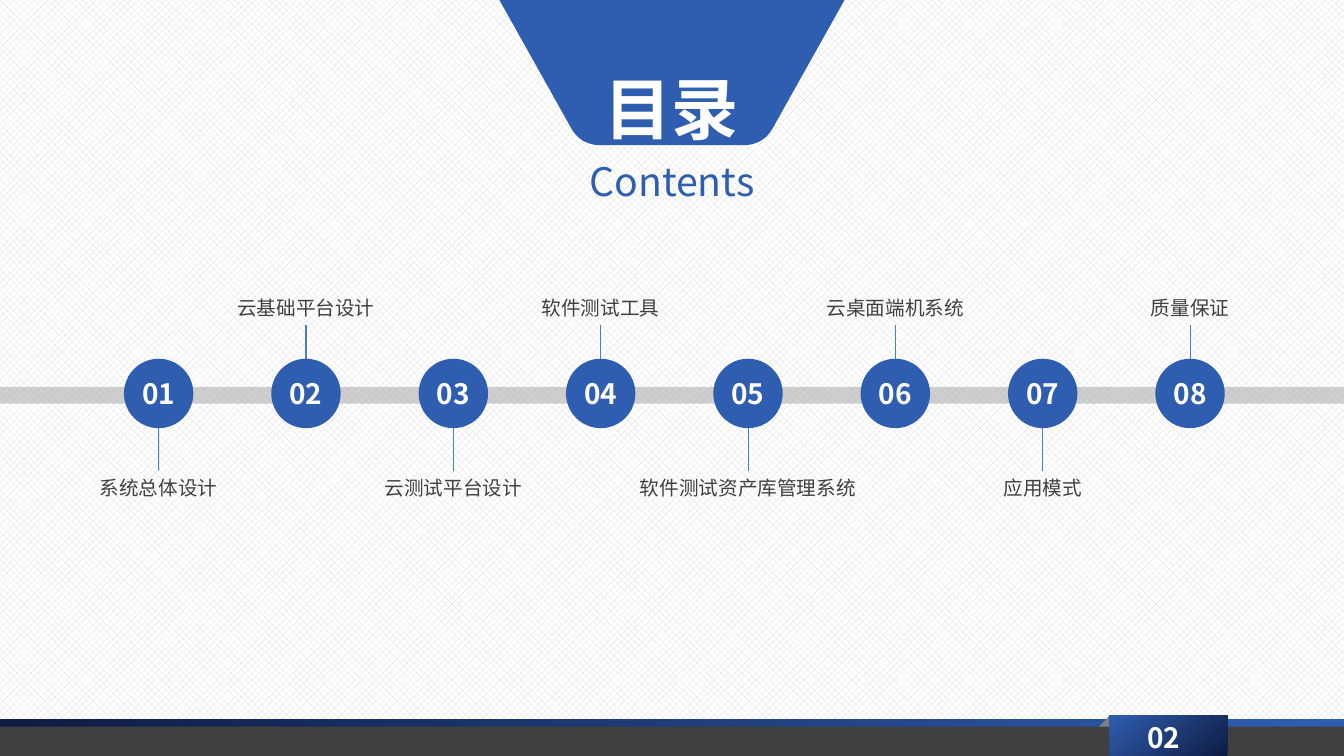
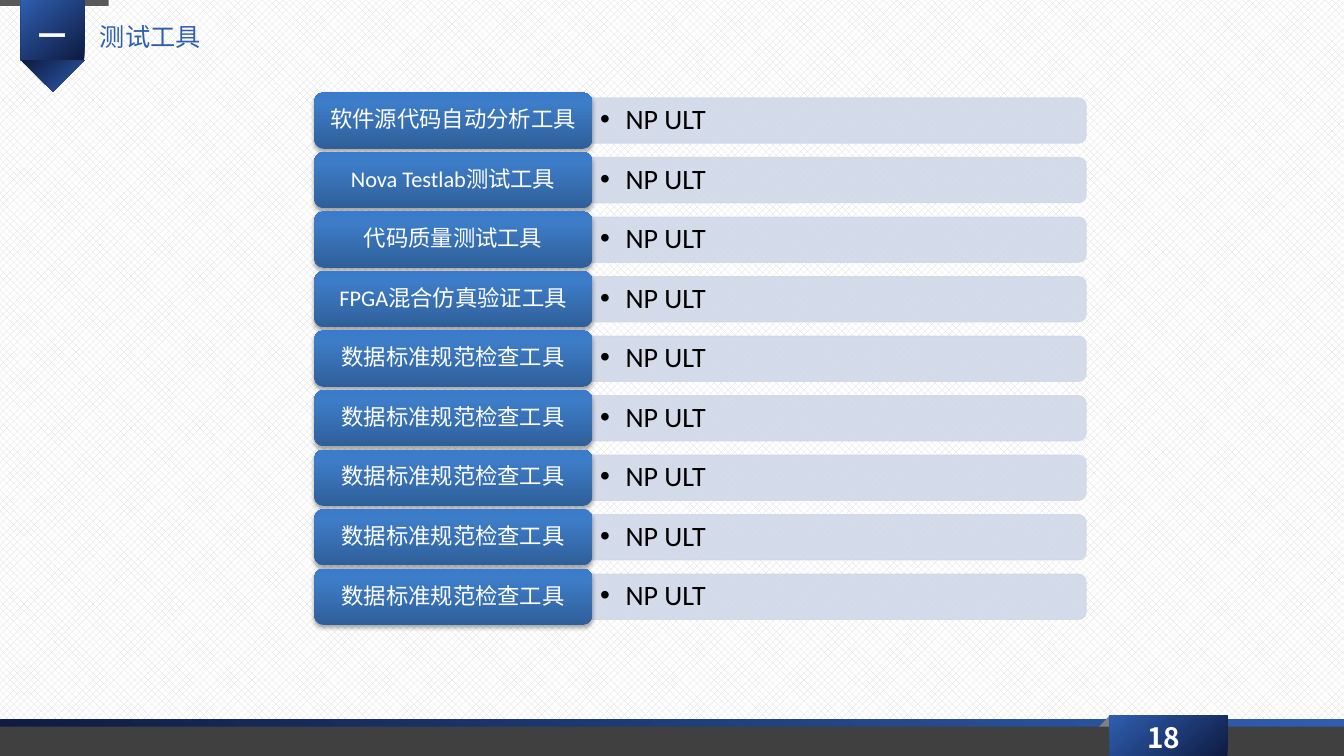
from copy import deepcopy

from lxml.etree import SubElement
from pptx import Presentation
from pptx.dml.color import RGBColor
from pptx.enum.dml import MSO_PATTERN
from pptx.enum.shapes import MSO_CONNECTOR, MSO_SHAPE
from pptx.enum.text import MSO_ANCHOR, PP_ALIGN
from pptx.oxml.ns import qn
from pptx.util import Cm, Pt

COLOURS = {
    "blue": "2F5EB0", "navy": "0E1A40", "white": "FFFFFF", "black": "000000",
    "dark": "404040", "strip": "595959", "fold": "808080", "track": "A6A6A6",
    "stem": "4B7EBC", "panel": "D0D8E8", "weave": "D9D9D9",
    "button_low": "2F5F99", "button_mid": "3D7CC7", "button_high": "3A7CCB",
}
CJK = "Noto Sans CJK SC"
WIDTH, HEIGHT = 33.88, 19.05
BADGE_STOPS = [(0, "navy"), (1, "blue")]
BUTTON_STOPS = [(0, "button_low"), (0.8, "button_mid"), (1, "button_high")]

CHAPTERS = ["系统总体设计", "云基础平台设计", "云测试平台设计", "软件测试工具",
            "软件测试资产库管理系统", "云桌面端机系统", "应用模式", "质量保证"]
TOOLS = [(name, "NP ULT") for name in [
    "软件源代码自动分析工具", "Nova Testlab测试工具", "代码质量测试工具",
    "FPGA混合仿真验证工具"] + ["数据标准规范检查工具"] * 5]


def colour(name):
    return RGBColor.from_string(COLOURS[name])


def style(paragraph, size, ink, face=CJK, bold=False, align=PP_ALIGN.CENTER):
    paragraph.alignment = align
    font = paragraph.font
    font.size, font.bold, font.name = Pt(size), bold, face
    font.color.rgb = colour(ink)
    SubElement(font._element, qn("a:ea"), typeface=CJK)


def write(box, text, size, ink, insets=(0, 0, 0, 0), spacing=None, bullet=None, **look):
    frame = box.text_frame
    frame.word_wrap = True
    frame.vertical_anchor = MSO_ANCHOR.MIDDLE
    (frame.margin_left, frame.margin_top,
     frame.margin_right, frame.margin_bottom) = map(Cm, insets)
    para = frame.paragraphs[0]
    para.text = text
    if spacing:
        para.line_spacing = spacing
    if bullet:
        properties = para._p.get_or_add_pPr()
        properties.set("marL", str(Cm(0.64)))
        properties.set("indent", str(-Cm(0.64)))
        SubElement(properties, qn("a:buFont"), typeface="Arial")
        SubElement(properties, qn("a:buChar"), char=bullet)
    style(para, size, ink, **look)


def add_text(page, left, top, width, height, *content, **look):
    box = page.shapes.add_textbox(Cm(left), Cm(top), Cm(width), Cm(height))
    write(box, *content, **look)
    return box


def paint(shape, fill):
    shape.shadow.inherit = False
    shape.line.fill.background()
    shape.fill.solid()
    shape.fill.fore_color.rgb = colour(fill)
    return shape


def add_block(page, kind, left, top, width, height, fill):
    shape = page.shapes.add_shape(kind, Cm(left), Cm(top), Cm(width), Cm(height))
    return paint(shape, fill)


def add_outline(page, points, fill):
    start, *rest = [(Cm(x), Cm(y)) for x, y in points]
    builder = page.shapes.build_freeform(*start)
    builder.add_line_segments(rest, close=True)
    return paint(builder.convert_to_shape(), fill)


def shade(shape, stops, angle):
    shape.fill.gradient()
    shape.fill.gradient_angle = angle
    stop_list = shape._element.spPr.find(qn("a:gradFill")).find(qn("a:gsLst"))
    for _ in stops[2:]:
        stop_list.append(deepcopy(stop_list[-1]))
    for stop, (position, name) in zip(shape.fill.gradient_stops, stops):
        stop.position = position
        stop.color.rgb = colour(name)


def fade(shape, percent):
    for tint in list(shape._element.spPr.iter(qn("a:srgbClr"))):
        SubElement(tint, qn("a:alpha"), val=str(percent * 1000))


def drop_shadow(shape):
    effects = shape._element.spPr.find(qn("a:effectLst"))
    shadow = SubElement(effects, qn("a:outerShdw"), blurRad="40000", dist="23000",
                        dir="5400000", rotWithShape="0")
    tint = SubElement(shadow, qn("a:srgbClr"), val=COLOURS["black"])
    SubElement(tint, qn("a:alpha"), val="35000")


def add_line(page, x1, y1, x2, y2, ink, weight):
    line = page.shapes.add_connector(MSO_CONNECTOR.STRAIGHT, Cm(x1), Cm(y1), Cm(x2), Cm(y2))
    line.line.color.rgb = colour(ink)
    line.line.width = Pt(weight)
    SubElement(line._element.spPr, qn("a:effectLst"))
    return line


def add_footer(page, number):
    top, left = 18.03, 27.97
    bar = add_block(page, MSO_SHAPE.RECTANGLE, 0, 18.14, WIDTH, HEIGHT - 18.14, "blue")
    shade(bar, BADGE_STOPS, 50)
    add_block(page, MSO_SHAPE.RECTANGLE, 0, 18.31, WIDTH, HEIGHT - 18.31, "dark")
    add_outline(page, [(left, top), (30.5, top), (30.53, 18.34), (27.71, 18.31)], "fold")
    badge = add_block(page, MSO_SHAPE.RECTANGLE, left, top, 2.97, 1.09, "blue")
    shade(badge, BADGE_STOPS, 130)
    write(badge, number, 20, "white", insets=(0, 0, 0.23, 0), bold=True)


def add_heading_tab(page):
    middle, shoulder, base = WIDTH / 2, 3.23, 3.66
    corner = []
    for step in range(13):
        t = step / 12
        a, b, c = (1 - t) ** 2, 2 * t * (1 - t), t ** 2
        corner.append((a * 2.54 + b * 2.3 + c * 1.78, a * shoulder + (b + c) * base))
    right = [(4.35, 0)] + corner
    points = [(middle + x, y) for x, y in right]
    points += [(middle - x, y) for x, y in reversed(right)]
    add_outline(page, points, "blue")

    box = page.shapes.add_textbox(Cm(middle - 4.6), Cm(1.17), Cm(9.2), Cm(4.17))
    frame = box.text_frame
    frame.word_wrap = True
    frame.text = "目录\nContents"
    for para, size, ink, bold in zip(frame.paragraphs, (48, 28), ("white", "blue"), (True, False)):
        para.line_spacing = 1.2
        style(para, size, ink, bold=bold)


def build_contents(page):
    add_heading_tab(page)
    add_footer(page, "02")
    fade(add_line(page, 0, 9.96, WIDTH, 9.96, "track", 12), 53)
    diameter, circle_top, label_width, label_height = 1.75, 9.04, 6.4, 0.86
    first, last = 4, 30
    step = (last - first) / (len(CHAPTERS) - 1)
    for index, chapter in enumerate(CHAPTERS):
        centre = first + index * step
        circle = add_block(page, MSO_SHAPE.OVAL, centre - diameter / 2, circle_top,
                           diameter, diameter, "blue")
        write(circle, f"{index + 1:02d}", 20, "white", bold=True)
        below = index % 2 == 0
        label = add_text(page, centre - label_width / 2, 11.86 if below else 7.33,
                         label_width, label_height, chapter, 14, "dark",
                         face="Roboto Condensed")
        edge = circle_top + diameter if below else circle_top
        stem = add_line(page, centre, edge, centre, edge, "stem", 0.75)
        stem.end_connect(label, 0 if below else 2)


def add_tool_row(page, top, tool, product):
    left, width, height = 7.92, 7.01, 1.42
    panel_length, panel_height = 12.45, 1.14
    panel_left, middle = left + width, top + height / 2
    panel = add_block(page, MSO_SHAPE.ROUND_2_SAME_RECTANGLE,
                      panel_left + (panel_length - panel_height) / 2,
                      middle - panel_length / 2, panel_height, panel_length, "panel")
    panel.rotation = 90
    panel.line.color.rgb = colour("panel")
    panel.line.width = Pt(0.75)
    fade(panel, 90)
    add_text(page, panel_left, middle - 0.51, 12.4, 1.02, product, 20, "black",
             insets=(0.2, 0.1, 0.2, 0.1), spacing=0.9, bullet="•",
             face="Calibri", align=PP_ALIGN.LEFT)
    button = add_block(page, MSO_SHAPE.ROUNDED_RECTANGLE, left, top, width, height, "blue")
    shade(button, BUTTON_STOPS, 90)
    drop_shadow(button)
    write(button, tool, 16, "white", insets=(0.25, 0.08, 0.25, 0.08),
          spacing=0.9, face="Calibri")


def build_tools(page):
    add_footer(page, "18")
    add_block(page, MSO_SHAPE.RECTANGLE, 0, 0, 2.74, 0.15, "strip")
    ribbon = add_block(page, MSO_SHAPE.RECTANGLE, 0.53, 0, 1.6, 1.52, "blue")
    tip = add_block(page, MSO_SHAPE.ISOSCELES_TRIANGLE, 0.53, 1.52, 1.6, 0.79, "blue")
    tip.rotation = 180
    for part in (ribbon, tip):
        shade(part, BADGE_STOPS, 130)
    write(ribbon, "一", 20, "white", insets=(0, 0.28, 0, 0), bold=True)
    add_text(page, 2.34, 0.43, 15.6, 0.97, "测试工具", 18, "blue",
             insets=(0.18, 0.1, 0.18, 0.1), align=PP_ALIGN.LEFT)
    for index, (tool, product) in enumerate(TOOLS):
        add_tool_row(page, 2.33 + index * 1.5, tool, product)


def main():
    deck = Presentation()
    deck.slide_width, deck.slide_height = Cm(WIDTH), Cm(HEIGHT)
    backdrop = deck.slide_master.background.fill
    backdrop.patterned()
    backdrop.pattern = MSO_PATTERN.PERCENT_50
    backdrop.fore_color.rgb = colour("weave")
    backdrop.back_color.rgb = colour("white")
    for build in (build_contents, build_tools):
        build(deck.slides.add_slide(deck.slide_layouts[6]))
    deck.save("out.pptx")


if __name__ == "__main__":
    main()
